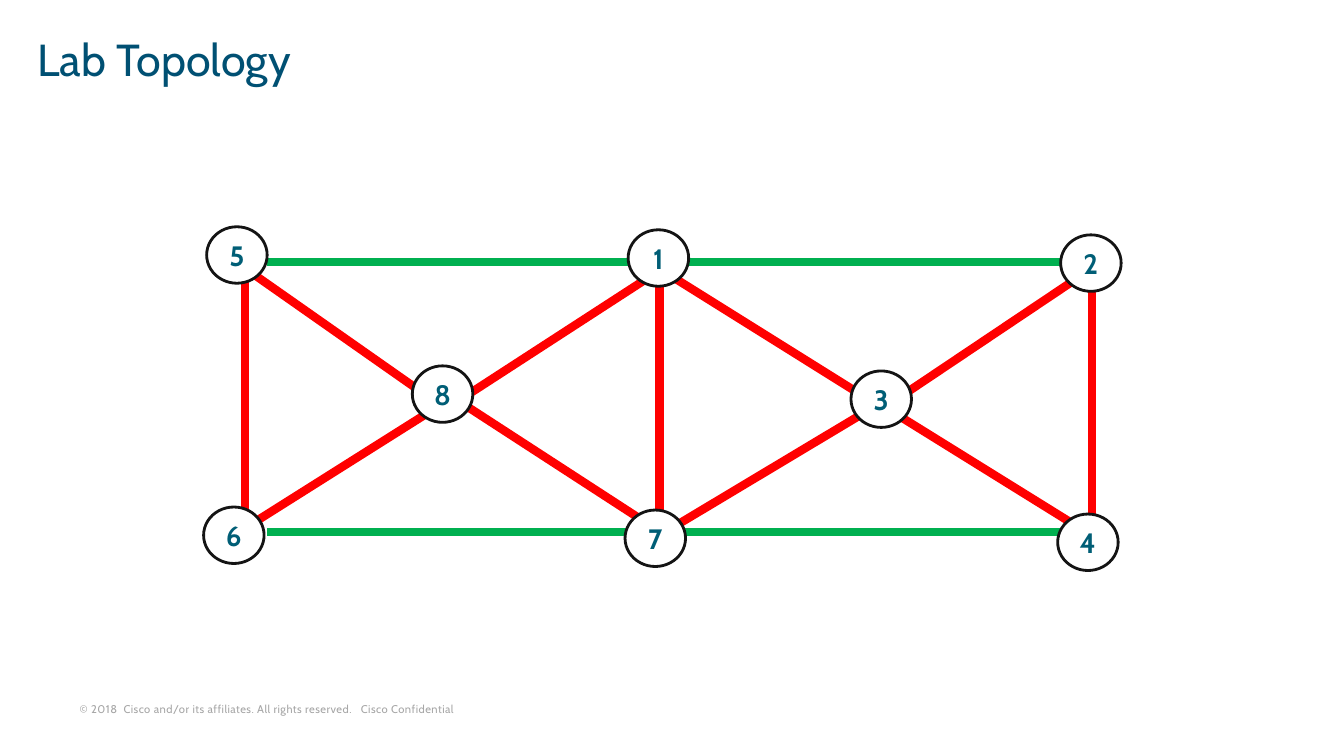
from lxml import etree
from pptx import Presentation
from pptx import util as u
from pptx.dml.color import RGBColor
from pptx.enum import shapes, text
from pptx.oxml.ns import qn

WIDTH, HEIGHT = u.Inches(13.33), u.Inches(7.5)
FONT = "Cabin"
WHITE = RGBColor(0xFF, 0xFF, 0xFF)
OUTLINE = RGBColor(0x14, 0x14, 0x14)
TITLE_BLUE = RGBColor(0x00, 0x50, 0x73)
NODE_BLUE = RGBColor(0x00, 0x5E, 0x76)
GREY = RGBColor(0xA6, 0xA6, 0xA6)
GREEN = RGBColor(0x00, 0xB0, 0x50)
RED = RGBColor(0xFF, 0x00, 0x00)

NODE_W, NODE_H = 4.5, 7.47
NODES = {
    "2": (81.17, 34.8), "1": (48.99, 34.13), "5": (17.63, 33.73),
    "4": (80.95, 71.73), "7": (48.76, 71.2), "6": (17.4, 70.8),
    "3": (65.57, 52.8), "8": (32.93, 52.13),
}
RAIL_SPANS = [(19.88, 47.41), (50.71, 79.59)]
RAIL_ROWS = [70.4, 34.67]
RED_LINKS = [
    (49.06, 36.53, 49.06, 69.87),
    (18.75, 36.13, 31.58, 52.13),
    (49.59, 36.13, 63.99, 52.13),
    (34.88, 52.13, 48.76, 36.13),
    (67.29, 52.13, 80.72, 36.13),
    (18.23, 69.87, 32.63, 53.73),
    (49.59, 70.27, 65.12, 53.73),
    (49.74, 71.07, 33.91, 52.8),
    (64.89, 52.8, 80.72, 70.27),
    (81.25, 36.53, 81.25, 68.4),
    (18.23, 36.53, 18.23, 69.87),
]


def share(x, y):
    """Turn percentages of the slide's width and height into lengths."""
    return round(WIDTH * x / 100), round(HEIGHT * y / 100)


def set_text(sp, content, size, color, anchor, insets, bold=False):
    """Write one formatted paragraph into a shape and return it."""
    tf = sp.text_frame
    tf.word_wrap = True
    tf.auto_size = text.MSO_AUTO_SIZE.NONE
    tf.vertical_anchor = anchor
    tf.margin_left = tf.margin_right = u.Inches(insets[0])
    tf.margin_top = tf.margin_bottom = u.Inches(insets[1])
    p = tf.paragraphs[0]
    p.text = content
    p.font.name, p.font.size, p.font.bold = FONT, u.Pt(size), bold
    p.font.color.rgb = color
    return p


def add_title(s, content):
    """Place and format the title placeholder."""
    sp = s.shapes.title
    sp.left, sp.top = share(1.8, 1.33)
    sp.width, sp.height = share(91.3, 14.27)
    p = set_text(sp, content, 32, TITLE_BLUE, text.MSO_ANCHOR.MIDDLE, (0.13, 0.07))
    p.alignment = text.PP_ALIGN.LEFT
    p.line_spacing = 0.8


def add_footer(s, content):
    """Add the small copyright line at the bottom."""
    sp = s.shapes.add_textbox(*share(5.25, 92.13), *share(37.21, 3.07))
    p = set_text(sp, content, 8, GREY, text.MSO_ANCHOR.BOTTOM, (0.09, 0.04))
    p.runs[0].font._element.set("spc", "30")


def add_link(s, x1, y1, x2, y2, color):
    """Draw one thick link between two points."""
    link = s.shapes.add_connector(
        shapes.MSO_CONNECTOR.STRAIGHT, *share(x1, y1), *share(x2, y2))
    link.line.color.rgb = color
    link.line.width = u.Pt(6)
    etree.SubElement(link._element.spPr, qn("a:effectLst"))


def add_node(s, label, x, y):
    """Draw a numbered router centred on a point."""
    sp = s.shapes.add_shape(
        shapes.MSO_SHAPE.OVAL, *share(x - NODE_W / 2, y - NODE_H / 2),
        *share(NODE_W, NODE_H))
    sp.shadow.inherit = False
    sp.fill.solid()
    sp.fill.fore_color.rgb = WHITE
    sp.line.color.rgb = OUTLINE
    sp.line.width = u.Pt(2)
    p = set_text(sp, label, 20, NODE_BLUE, text.MSO_ANCHOR.MIDDLE, (0, 0), bold=True)
    p.alignment = text.PP_ALIGN.CENTER


def main():
    """Build the lab topology slide."""
    prs = Presentation()
    prs.slide_width, prs.slide_height = WIDTH, HEIGHT
    s = prs.slides.add_slide(prs.slide_layouts.get_by_name("Title Only"))
    add_footer(s, "© 2018  Cisco and/or its affiliates. All rights reserved.   Cisco Confidential")
    add_title(s, "Lab Topology")
    for x1, x2 in RAIL_SPANS:
        for y in RAIL_ROWS:
            add_link(s, x1, y, x2, y, GREEN)
    for ends in RED_LINKS:
        add_link(s, *ends, RED)
    for label, centre in NODES.items():
        add_node(s, label, *centre)
    prs.save("out.pptx")


if __name__ == "__main__":
    main()
